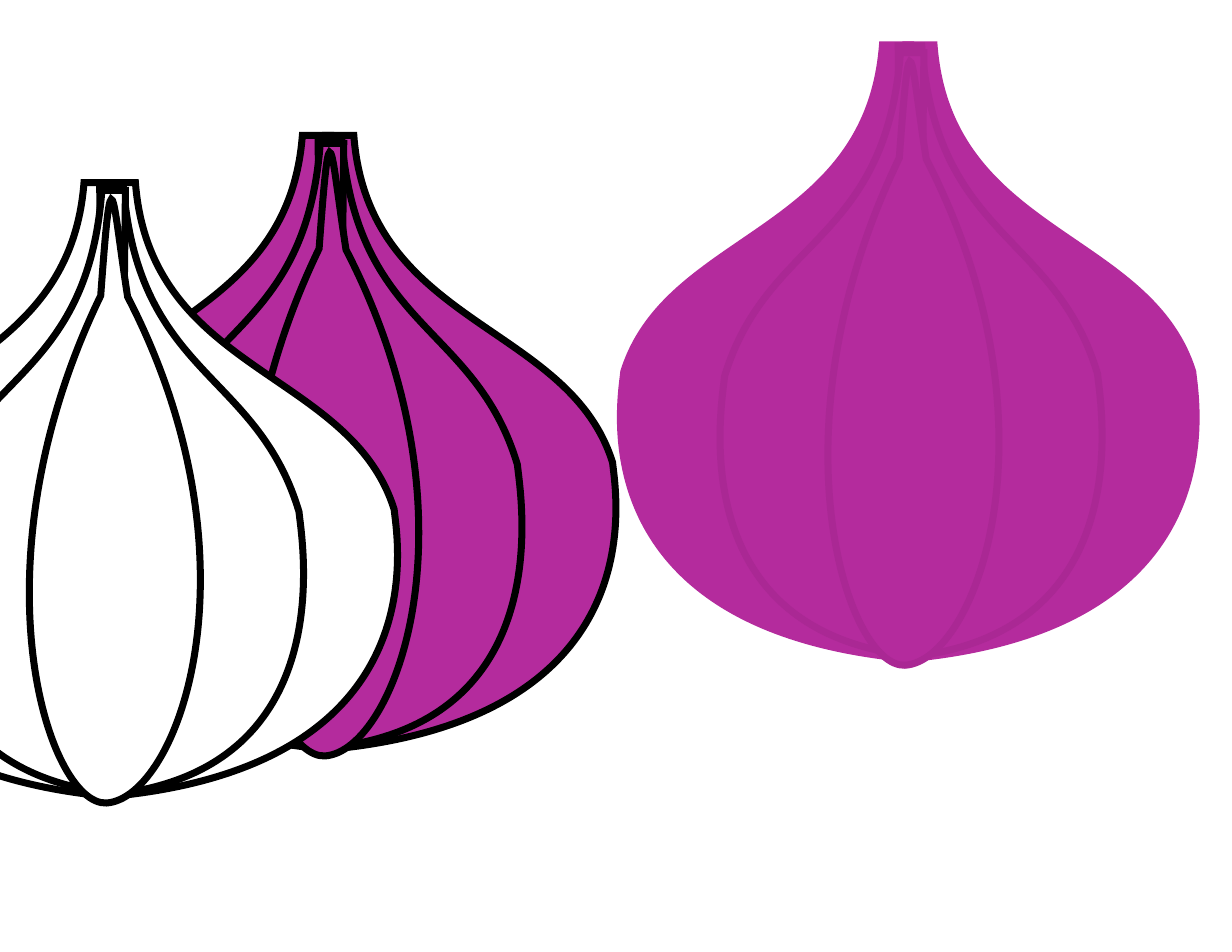
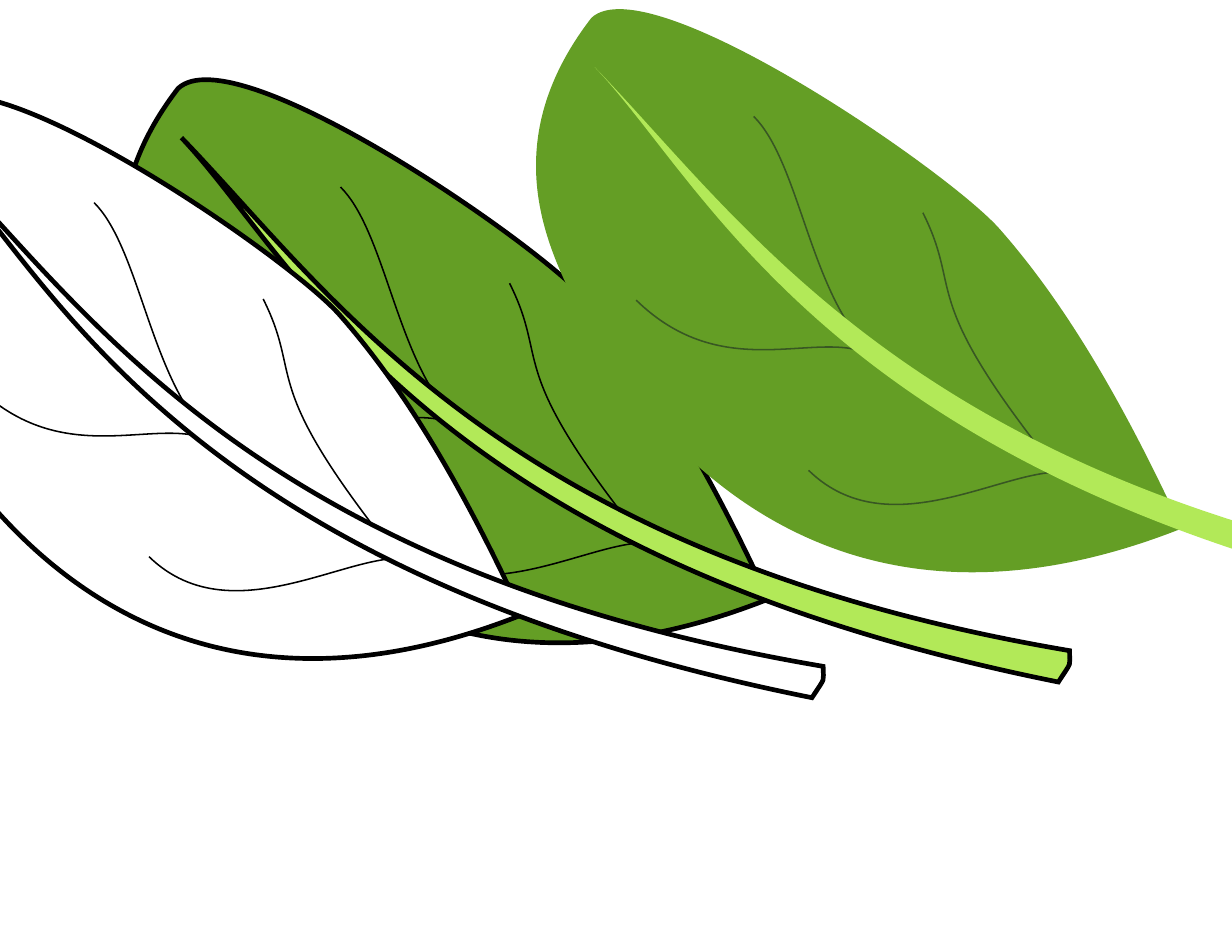
"""Build two slides of vegetable drawings: garlic bulbs and spinach leaves."""
import math
from dataclasses import dataclass
from typing import Callable, Optional

from lxml import etree
from pptx import Presentation
from pptx.dml.color import RGBColor
from pptx.oxml.ns import qn
from pptx.util import Inches, Pt

BLACK, WHITE = "000000", "FFFFFF"
PURPLE, DEEP_PURPLE = "B42B9D", "AA2894"
GREEN, LIME, DARK_GREEN = "649E25", "B2E958", "385723"
LEAF_TILT = 35.2
BOUND_STEPS = 40


@dataclass(frozen=True)
class Outline:
    """A start point with segments of one point (line) or three (curve)."""
    start: complex
    segments: tuple[tuple[complex, ...], ...]
    closed: bool = True

    def moved(self, move: Callable[[complex], complex]) -> "Outline":
        """Return the outline with every point moved."""
        return Outline(move(self.start),
                       tuple(tuple(map(move, segment)) for segment in self.segments),
                       self.closed)

    def corners(self) -> tuple[complex, complex]:
        """Return the top left and bottom right of the drawn outline."""
        reached = [self.start]
        for segment in self.segments:
            if len(segment) == 3:
                a, (b, c, d) = reached[-1], segment
                for step in range(1, BOUND_STEPS):
                    t = step / BOUND_STEPS
                    s = 1 - t
                    reached.append(a * s**3 + 3 * b * s * s * t
                                   + 3 * c * s * t * t + d * t**3)
            reached.append(segment[-1])
        xs = [point.real for point in reached]
        ys = [point.imag for point in reached]
        return complex(min(xs), min(ys)), complex(max(xs), max(ys))


@dataclass(frozen=True)
class Paint:
    """Fill and line of one outline."""
    fill: Optional[str]
    line: Optional[str] = None
    width: float = 1


@dataclass(frozen=True)
class Variant:
    """A painted drawing and its shift from the first one."""
    shift: complex
    paints: tuple[Paint, ...]


def outline(start: tuple, *segments: tuple, closed: bool = True) -> Outline:
    """Make an outline from flat x, y sequences."""
    def pairs(values: tuple) -> tuple[complex, ...]:
        return tuple(complex(x, y) for x, y in zip(values[::2], values[1::2]))
    return Outline(pairs(start)[0], tuple(map(pairs, segments)), closed)


def mirrored(half: Outline, axis: float) -> Outline:
    """Reflect an outline across a vertical axis."""
    return half.moved(lambda point: complex(2 * axis - point.real, point.imag))


OUTER_HALF = outline((2.91, 1.21), (3.16, 1.21),
                     (3.29, 2.92, 5.08, 2.88, 5.47, 4.13),
                     (5.49, 4.36, 5.88, 6.32, 3.14, 6.67))
GARLIC = (
    OUTER_HALF,
    mirrored(OUTER_HALF, 2.93),
    outline((2.84, 1.22), (3.05, 1.22),
            (3.18, 2.95, 4.24, 2.88, 4.62, 4.15),
            (4.64, 4.38, 5.03, 6.48, 2.9, 6.68)),
    outline((3.07, 1.28), (2.86, 1.28),
            (2.73, 2.99, 1.67, 2.92, 1.29, 4.17),
            (1.27, 4.4, 0.88, 6.47, 3.01, 6.67)),
    outline((2.85, 2.22), (2.95, 0.84, 2.95, 1.33, 3.09, 2.23),
            (4.32, 4.61, 3.54, 6.71, 2.9, 6.75),
            (2.38, 6.77, 1.68, 4.64, 2.85, 2.22)),
)
LEAF = (
    outline((1.59, 0.79), (2.1, 0.31, 4.8, 2.17, 5.24, 2.68),
            (5.75, 3.26, 6.27, 4.07, 6.86, 5.35),
            (4.23, 6.39, 2.55, 5.19, 1.59, 3.64),
            (1.4, 3.15, 0.58, 2.1, 1.59, 0.79)),
    outline((3.93, 3.59), (3.52, 3.02, 3.41, 2.04, 3.04, 1.67), closed=False),
    outline((1.99, 3.31), (2.77, 4.07, 3.59, 3.57, 4.07, 3.79), closed=False),
    outline((5.59, 4.63), (4.52, 3.25, 4.9, 3.23, 4.55, 2.53), closed=False),
    outline((3.53, 4.83), (4.31, 5.59, 5.47, 4.66, 5.95, 4.88), closed=False),
    outline((1.62, 1.23), (3, 2.66, 4.48, 4.95, 9.55, 5.81),
            (9.55, 5.96, 9.58, 5.89, 9.45, 6.09),
            (3.76, 4.95, 2.65, 2.31, 1.62, 1.23)),
)


def bulb_paints(fill: str, skin: str, ribs: str) -> tuple[Paint, ...]:
    """Paint the two outer halves and the three inner cloves."""
    return (Paint(fill, skin, 4.5),) * 2 + (Paint(fill, ribs, 4.5),) * 3


def leaf_paints(blade: str, stem: str, edge: Optional[str],
                vein: Paint) -> tuple[Paint, ...]:
    """Paint the blade, its four veins and the stem."""
    return (Paint(blade, edge, 3),) + (vein,) * 4 + (Paint(stem, edge, 3),)


BULBS = (
    Variant(0j, bulb_paints(PURPLE, BLACK, BLACK)),
    Variant(5.18 - 0.81j, bulb_paints(PURPLE, PURPLE, DEEP_PURPLE)),
    Variant(-1.95 + 0.42j, bulb_paints(WHITE, BLACK, BLACK)),
)
LEAVES = (
    Variant(0j, leaf_paints(GREEN, LIME, BLACK, Paint(None, BLACK))),
    Variant(3.69 - 0.63j, leaf_paints(GREEN, LIME, None, Paint(None, DARK_GREEN))),
    Variant(-2.2 + 0.14j, leaf_paints(WHITE, WHITE, BLACK, Paint(WHITE, BLACK))),
)


def apply_color(form, color: Optional[str]) -> None:
    """Set a solid hex colour on a fill, or none."""
    if color is None:
        form.background()
    else:
        form.solid()
        form.fore_color.rgb = RGBColor.from_string(color)


def leveled(part: Outline, tilt: float) -> Outline:
    """Turn an outline back by the tilt about the centre of its level box."""
    angle = math.radians(tilt)
    turn = complex(math.cos(angle), math.sin(angle))
    flat = part.moved(lambda point: point / turn)
    center = sum(flat.corners()) / 2
    return flat.moved(lambda point: point + center * turn - center)


def trace(path, part: Outline, origin: complex) -> None:
    """Replace the content of a path by the lines and curves of an outline."""
    def add(tag: str, *points: complex) -> None:
        command = etree.SubElement(path, qn(tag))
        for point in points:
            local = point - origin
            etree.SubElement(command, qn("a:pt"), x=str(int(Inches(local.real))),
                             y=str(int(Inches(local.imag))))

    for child in list(path):
        path.remove(child)
    add("a:moveTo", part.start)
    for segment in part.segments:
        add("a:cubicBezTo" if len(segment) == 3 else "a:lnTo", *segment)
    if part.closed:
        add("a:close")


def draw_outline(shapes, part: Outline, paint: Paint, tilt: float) -> None:
    """Draw one outline with its paint and rotation."""
    flat = leveled(part, tilt)
    top_left, bottom_right = flat.corners()
    builder = shapes.build_freeform(Inches(top_left.real), Inches(top_left.imag))
    builder.add_line_segments(
        [(Inches(bottom_right.real), Inches(bottom_right.imag))], close=False)
    shape = builder.convert_to_shape()
    trace(shape._element.spPr.find(f".//{qn('a:path')}"), flat, top_left)
    shape.rotation = tilt
    shape.shadow.inherit = False
    apply_color(shape.fill, paint.fill)
    apply_color(shape.line.fill, paint.line)
    if paint.line:
        shape.line.width = Pt(paint.width)
        stroke = shape._element.spPr.find(qn("a:ln"))
        etree.SubElement(stroke, qn("a:miter"), lim="800000")


def add_drawings(deck, parts: tuple[Outline, ...], variants: tuple[Variant, ...],
                 tilt: float = 0) -> None:
    """Add a slide with one group for each variant."""
    slide = deck.slides.add_slide(deck.slide_layouts[6])
    for variant in variants:
        group = slide.shapes.add_group_shape()
        for part, paint in zip(parts, variant.paints):
            placed = part.moved(lambda point: point + variant.shift)
            draw_outline(group.shapes, placed, paint, tilt)


def main() -> None:
    """Build and save the deck."""
    deck = Presentation()
    deck.slide_width, deck.slide_height = Inches(11), Inches(8.5)
    add_drawings(deck, GARLIC, BULBS)
    add_drawings(deck, LEAF, LEAVES, LEAF_TILT)
    deck.save("out.pptx")


if __name__ == "__main__":
    main()
